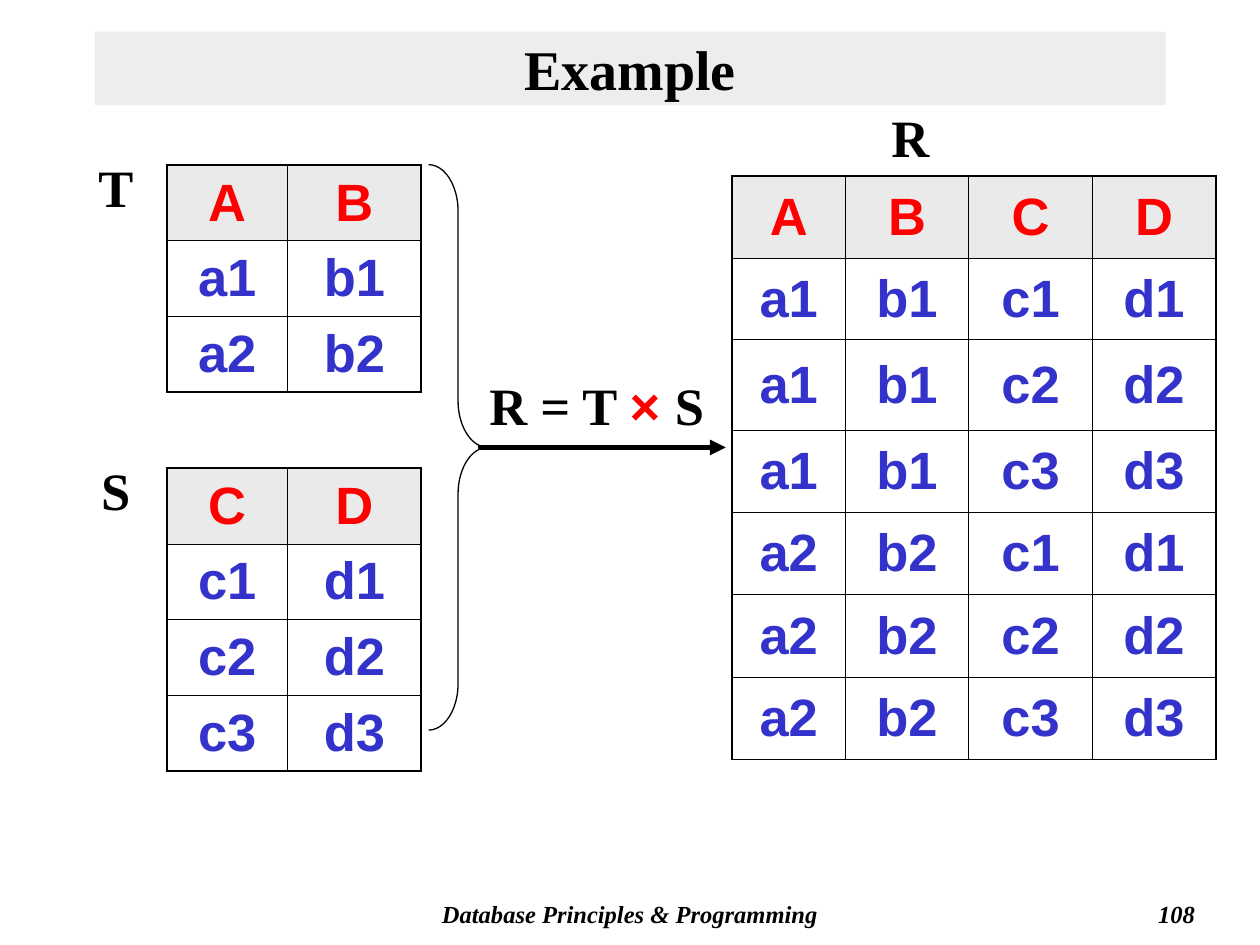
"""Build a slide showing the Cartesian product of tables T and S."""
import pptx
import pptx.util
import pptx.dml.color
import pptx.enum.shapes
import pptx.enum.text
import pptx.oxml
import pptx.oxml.ns
import lxml.etree

Cm, Pt = pptx.util.Cm, pptx.util.Pt
RGBColor = pptx.dml.color.RGBColor
MSO_SHAPE = pptx.enum.shapes.MSO_SHAPE
ALIGN = pptx.enum.text.PP_ALIGN
MIDDLE = pptx.enum.text.MSO_ANCHOR.MIDDLE
qn = pptx.oxml.ns.qn

BLACK = RGBColor(0x00, 0x00, 0x00)
RED = RGBColor(0xFF, 0x00, 0x00)
BLUE = RGBColor(0x33, 0x33, 0xCC)
TITLE_GRAY = RGBColor(0xDD, 0xDD, 0xDD)
HEADER_GRAY = RGBColor(0xEA, 0xEA, 0xEA)
SERIF, SANS = "Times New Roman", "Arial"
OUTER, INNER = Pt(1.08), Pt(0.45)


def style(font, size, name=SERIF, color=BLACK):
    font.size, font.name, font.bold = Pt(size), name, True
    font.color.rgb = color


def add_border(cell, side, width):
    line = lxml.etree.SubElement(cell._tc.get_or_add_tcPr(), qn(f"a:ln{side}"), w=str(int(width)))
    fill = lxml.etree.SubElement(line, qn("a:solidFill"))
    lxml.etree.SubElement(fill, qn("a:srgbClr"), val=str(BLACK))


deck = pptx.Presentation()
deck.slide_width, deck.slide_height = Cm(25.4), Cm(19.05)
page = deck.slides.add_slide(deck.slide_layouts[6])

title = page.shapes.add_shape(MSO_SHAPE.RECTANGLE, Cm(1.91), Cm(0.64), Cm(21.59), Cm(1.48))
title.shadow.inherit = False
title.fill.solid()
title.fill.fore_color.rgb = TITLE_GRAY
tint = title.fill._xPr.find(".//" + qn("a:srgbClr"))
lxml.etree.SubElement(tint, qn("a:alpha"), val="50000")
title.line.fill.background()
title.text_frame.vertical_anchor = MIDDLE
para = title.text_frame.paragraphs[0]
para.text = "Example"
para.alignment = ALIGN.CENTER
style(para.font, 32)

footers = [
    ("Database Principles & Programming", 7.2, 11, ALIGN.CENTER),
    ("108", 19.05, 5.29, ALIGN.RIGHT),
]
for text, left, width, alignment in footers:
    box = page.shapes.add_textbox(Cm(left), Cm(17.99), Cm(width), Cm(0.85))
    box.text_frame.word_wrap = True
    para = box.text_frame.paragraphs[0]
    para.text = text
    para.alignment = alignment
    style(para.font, 14)
    para.font.italic = True

rows_t = [("a1", "b1"), ("a2", "b2")]
rows_s = [("c1", "d1"), ("c2", "d2"), ("c3", "d3")]
rows_r = [first + second for first in rows_t for second in rows_s]
relations = [
    (14.76, 3.55, [2.28, 2.49, 2.49, 2.49], [1.65, 1.65, 1.82] + [1.66] * 4,
     [tuple("ABCD")] + rows_r),
    (3.36, 3.33, [2.44, 2.69], [1.52] * 3, [tuple("AB")] + rows_t),
    (3.36, 9.44, [2.44, 2.69], [1.52] * 4, [tuple("CD")] + rows_s),
]
for left, top, widths, heights, rows in relations:
    table = page.shapes.add_table(len(rows), len(widths), Cm(left), Cm(top),
                                  Cm(sum(widths)), Cm(sum(heights))).table
    table.first_row = table.horz_banding = False
    for column, width in zip(table.columns, widths):
        column.width = Cm(width)
    for row, height in zip(table.rows, heights):
        row.height = Cm(height)
    for i, values in enumerate(rows):
        for j, value in enumerate(values):
            cell = table.cell(i, j)
            edges = {"L": j == 0, "R": j == len(widths) - 1, "T": i == 0, "B": i == len(rows) - 1}
            for side, outside in edges.items():
                add_border(cell, side, OUTER if outside else INNER)
            if i == 0:
                cell.fill.solid()
                cell.fill.fore_color.rgb = HEADER_GRAY
            else:
                cell.fill.background()
            cell.vertical_anchor = MIDDLE
            para = cell.text_frame.paragraphs[0]
            para.text = value
            para.alignment = ALIGN.CENTER
            style(para.font, 30, SANS, BLUE if i else RED)

for name, left, top, width in [("R", 14.96, 2.12, 6.78), ("T", 1.7, 3.12, 1.27), ("S", 1.7, 9.23, 1.27)]:
    box = page.shapes.add_textbox(Cm(left), Cm(top), Cm(width), Cm(1.27))
    box.text_frame.word_wrap = True
    box.text_frame.margin_top = box.text_frame.margin_bottom = 0
    para = box.text_frame.paragraphs[0]
    para.text = name
    para.alignment = ALIGN.CENTER
    style(para.font, 30)

formula = page.shapes.add_shape(MSO_SHAPE.FLOWCHART_PROCESS, Cm(9.83), Cm(6.88), Cm(4.4), Cm(2.54))
formula.shadow.inherit = False
formula.fill.background()
formula.line.fill.background()
text_frame = formula.text_frame
text_frame.word_wrap = True
text_frame.vertical_anchor = MIDDLE
text_frame.margin_left = text_frame.margin_right = 0
text_frame.margin_top = text_frame.margin_bottom = 0
para = text_frame.paragraphs[0]
para.alignment = ALIGN.CENTER
for text, font_name, color in [("R = T ", SERIF, BLACK), ("× ", SANS, RED), ("S", SERIF, BLACK)]:
    span = para.add_run()
    span.text = text
    style(span.font, 30, font_name, color)

brace = page.shapes.add_shape(MSO_SHAPE.RIGHT_BRACE, Cm(8.64), Cm(3.32), Cm(1.19), Cm(11.4))
brace.shadow.inherit = False
brace.adjustments[0] = 0.79
brace.fill.background()
brace.line.color.rgb = BLACK
brace.line.width = Pt(0.75)

arrow = page.shapes.add_connector(pptx.enum.shapes.MSO_CONNECTOR.STRAIGHT,
                                  Cm(9.63), Cm(9.02), Cm(14.63), Cm(9.02))
arrow.line.color.rgb = BLACK
arrow.line.width = Pt(3)
lxml.etree.SubElement(arrow.line._get_or_add_ln(), qn("a:tailEnd"), type="triangle")
lxml.etree.SubElement(arrow._element.spPr, qn("a:effectLst"))

deck.save("out.pptx")
